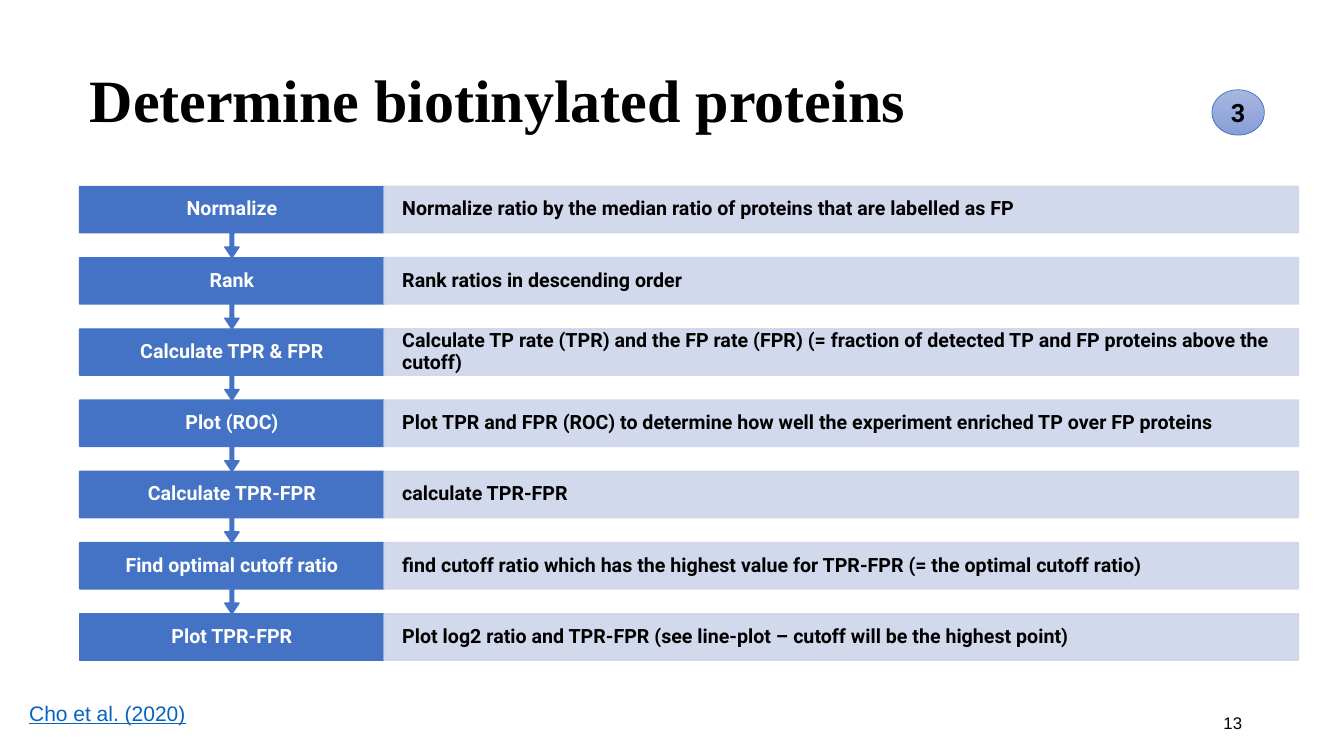
from pptx import Presentation
from pptx.dml.color import RGBColor
from pptx.enum.shapes import MSO_SHAPE
from pptx.enum.text import MSO_ANCHOR, MSO_AUTO_SIZE, PP_ALIGN
from pptx.oxml.ns import qn
from pptx.util import Inches, Pt
from lxml import etree

RECT, OVAL = MSO_SHAPE.RECTANGLE, MSO_SHAPE.OVAL
CALLOUT = MSO_SHAPE.DOWN_ARROW_CALLOUT
TOP, MIDDLE = MSO_ANCHOR.TOP, MSO_ANCHOR.MIDDLE
LEFT, CENTER, RIGHT = PP_ALIGN.LEFT, PP_ALIGN.CENTER, PP_ALIGN.RIGHT

TITLE = "Determine biotinylated proteins"
BADGE = "3"
CITATION = "Cho et al. (2020)"
PAGE = "13"
STEPS = [
    ("Normalize", "Normalize ratio by the median ratio of proteins that are labelled as FP"),
    ("Rank", "Rank ratios in descending order"),
    ("Calculate TPR & FPR",
     "Calculate TP rate (TPR) and the FP rate (FPR) "
     "(= fraction of detected TP and FP proteins above the cutoff)"),
    ("Plot (ROC)",
     "Plot TPR and FPR (ROC) to determine how well the experiment enriched TP over FP proteins"),
    ("Calculate TPR-FPR", "calculate TPR-FPR"),
    ("Find optimal cutoff ratio",
     "find cutoff ratio which has the highest value for TPR-FPR (= the optimal cutoff ratio)"),
    ("Plot TPR-FPR",
     "Plot log2 ratio and TPR-FPR (see line-plot – cutoff will be the highest point)"),
]

THEME = {
    "blue": "4472C4", "pale": "CFD5EA", "white": "FFFFFF", "black": "000000",
    "link": "0563C1", "badge": ("A8B7DF", "889ED7"),
    "title": {"name": "Times New Roman", "size": Pt(42.9), "bold": True},
    "step": {"name": "Roboto", "size": Pt(14), "bold": True},
    "number": {"name": "Roboto", "size": Pt(18), "bold": True},
    "page": {"name": "Arial", "size": Pt(12)},
    "cite": {"name": "Arial", "size": Pt(15), "underline": True},
}

STEP_X, STEP_W, DETAIL_W = 0.79, 3.02, 9.07
FIRST_Y, LAST_Y, BAR_H = 1.85, 6.09, 0.46
PITCH = (LAST_Y - FIRST_Y) / (len(STEPS) - 1)
CALLOUT_ADJ = (0.05, 0.1, 0.15, 0.65)


def rgb(name):
    return RGBColor.from_string(THEME[name])


def write(s, text, style, color, align, anchor=MIDDLE, spacing=1.0, inset=0.1, wrap=True):
    tf = s.text_frame
    tf.text = text
    tf.auto_size = MSO_AUTO_SIZE.NONE
    tf.word_wrap = wrap
    tf.vertical_anchor = anchor
    tf.margin_left = tf.margin_right = Inches(inset)
    tf.margin_top = tf.margin_bottom = Inches(0.05)
    p = tf.paragraphs[0]
    p.alignment, p.line_spacing = align, spacing
    r = p.runs[0]
    for key, value in THEME[style].items():
        setattr(r.font, key, value)
    r.font.color.rgb = rgb(color)
    return r


def add_shape(slide, kind, box, fill, line, width):
    s = slide.shapes.add_shape(kind, *map(Inches, box))
    s.shadow.inherit = False
    if fill:
        s.fill.solid()
        s.fill.fore_color.rgb = rgb(fill)
    s.line.color.rgb = rgb(line)
    s.line.width = Pt(width)
    return s


def set_opacity(s, percent):
    for color in s.element.spPr.iter(qn("a:srgbClr")):
        etree.SubElement(color, qn("a:alpha"), val=str(percent * 1000))


def add_step(slide, index, name, detail):
    """Draw a step and its detail; every step but the last points to the next."""
    y = FIRST_Y + index * PITCH
    last = index == len(STEPS) - 1
    kind, height = (RECT, BAR_H) if last else (CALLOUT, PITCH)
    step = add_shape(slide, kind, (STEP_X, y, STEP_W, height), "blue", "blue", 1)
    if not last:
        for i, value in enumerate(CALLOUT_ADJ):
            step.adjustments[i] = value
    write(step, name, "step", "white", CENTER, spacing=0.9, inset=0.21)
    bar = add_shape(slide, RECT, (STEP_X + STEP_W, y, DETAIL_W, BAR_H), "pale", "pale", 1)
    set_opacity(bar, 90)
    write(bar, detail, "step", "black", LEFT, spacing=0.9, inset=0.18)


def add_badge(slide):
    s = add_shape(slide, OVAL, (12.02, 0.89, 0.52, 0.45), None, "blue", 0.5)
    s.fill.gradient()
    s.fill.gradient_angle = 270
    for stop, color in zip(s.fill.gradient_stops, THEME["badge"]):
        stop.color.rgb = RGBColor.from_string(color)
    write(s, BADGE, "number", "black", CENTER)


def main():
    prs = Presentation()
    prs.slide_width, prs.slide_height = Inches(13.33), Inches(7.5)
    slide = prs.slides.add_slide(prs.slide_layouts[5])

    title = slide.shapes.title
    title.left, title.top = Inches(0.79), Inches(0.68)
    title.width, title.height = Inches(11.73), Inches(0.73)
    write(title, TITLE, "title", "black", LEFT, spacing=0.8)

    for index, (name, detail) in reversed(list(enumerate(STEPS))):
        add_step(slide, index, name, detail)

    page = slide.shapes.add_textbox(*map(Inches, (9.42, 6.95, 3, 0.4)))
    r = write(page, PAGE, "page", "black", RIGHT, spacing=1.2)
    r.font._element.set("spc", "20")
    cite = slide.shapes.add_textbox(*map(Inches, (0.19, 6.9, 1.78, 0.35)))
    write(cite, CITATION, "cite", "link", LEFT, anchor=TOP, wrap=False)
    add_badge(slide)
    prs.save("out.pptx")


if __name__ == "__main__":
    main()
